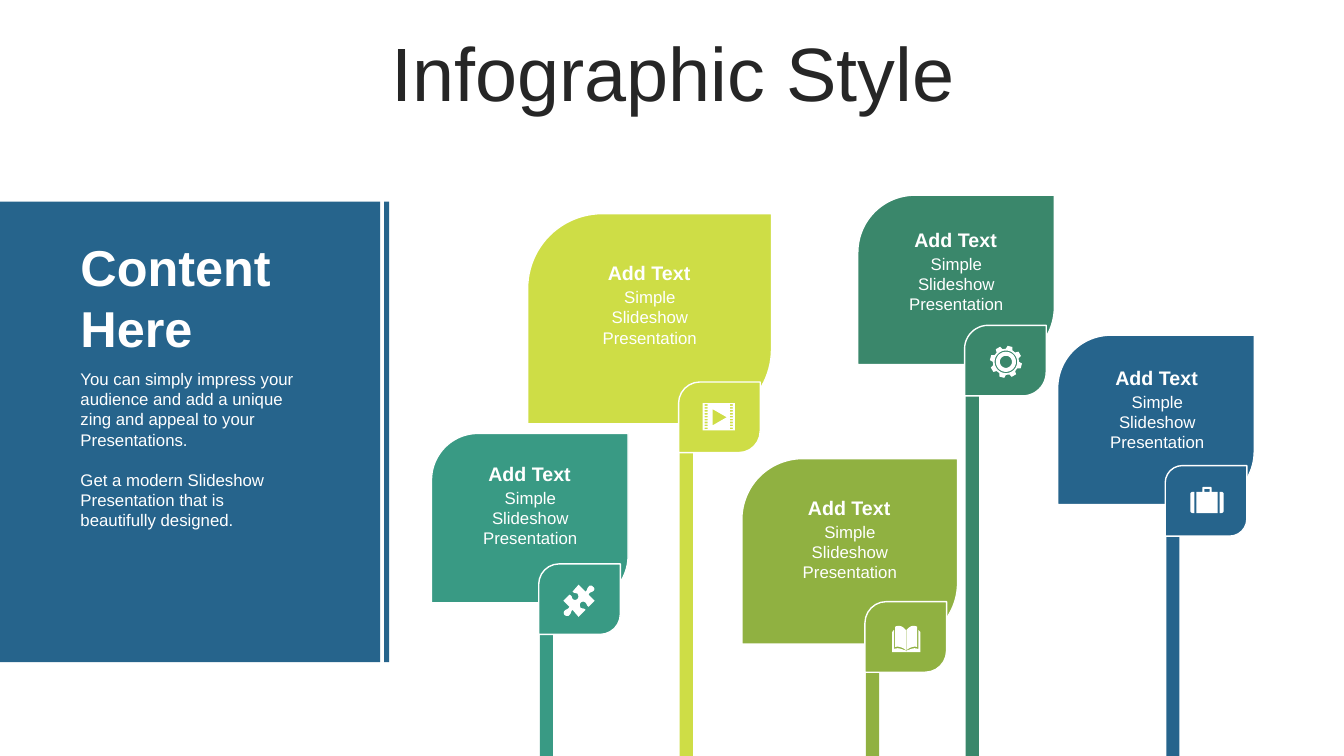
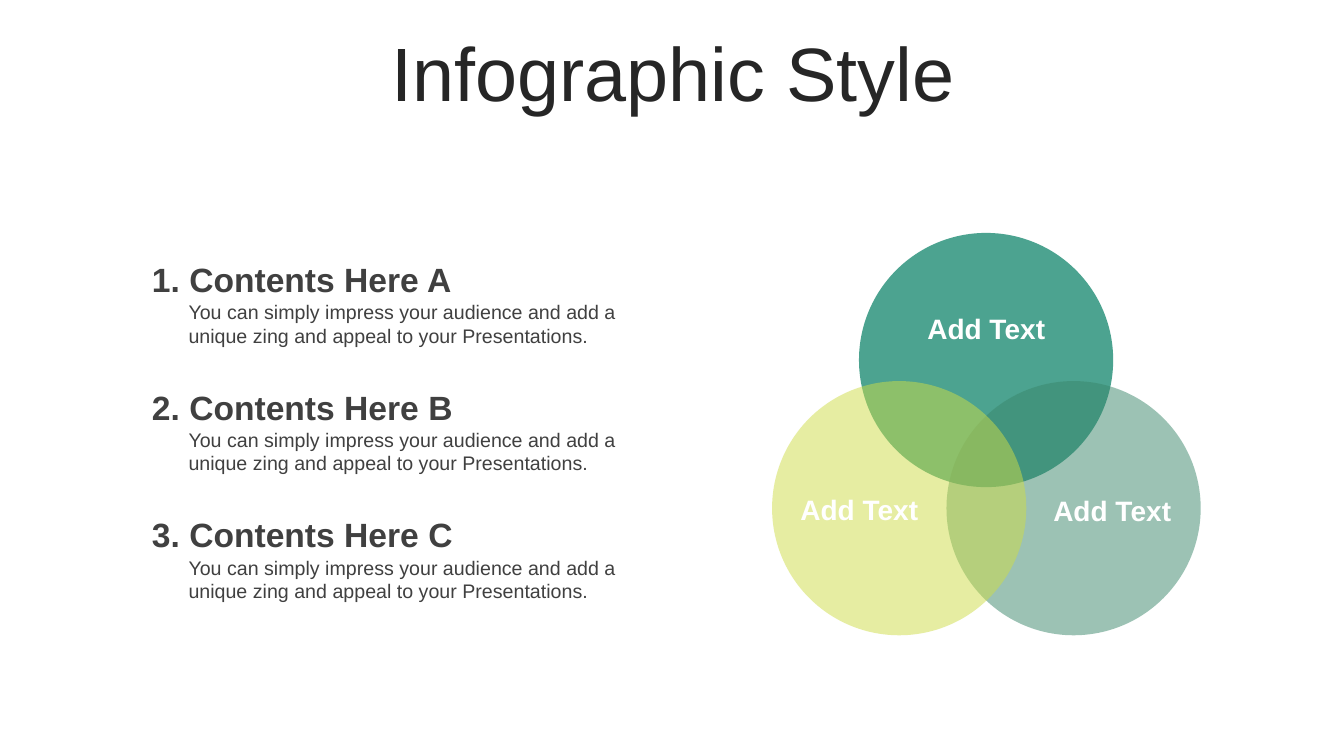
from math import cos, radians, sin

from pptx import Presentation
from pptx.dml.color import RGBColor
from pptx.enum.shapes import MSO_SHAPE as Shape
from pptx.enum.text import MSO_ANCHOR as Anchor, PP_ALIGN as Align
from pptx.oxml.ns import qn
from pptx.util import Pt
from lxml.etree import SubElement

COLOURS = {
    "white": "FFFFFF",
    "title": "262626",
    "text": "404040",
    "blue": "26648C",
    "teal": "399A84",
    "lime": "CEDD46",
    "olive": "90B141",
    "green": "3A876B",
}
FORMATS = {
    "title": {"size": Pt(54), "bold": False},
    "panel heading": {"size": Pt(36), "bold": True},
    "list heading": {"size": Pt(24), "bold": True},
    "circle": {"size": Pt(20), "bold": True},
    "leaf heading": {"size": Pt(14), "bold": True},
    "list body": {"size": Pt(14), "bold": False},
    "body": {"size": Pt(12), "bold": False},
}
SLIDE_HEIGHT = 540
GRID = 0.72  # step of the icon drawings, in points
CURVE_STEPS = 6
PITCH = "You can simply impress your audience and add a unique zing and appeal to your Presentations."


def add_filled(slide, kind, box, colour, opacity=100, outlined=False, corner=None):
    """Add a preset shape; opacity is in percent, corner is the first adjustment."""
    shape = slide.shapes.add_shape(kind, *map(Pt, box))
    shape.shadow.inherit = False
    shape.fill.solid()
    shape.fill.fore_color.rgb = RGBColor.from_string(COLOURS[colour])
    if opacity < 100:
        fill_colour = shape.fill._xPr.find(qn("a:solidFill"))[0]
        SubElement(fill_colour, qn("a:alpha")).set("val", str(opacity * 1000))
    if outlined:
        shape.line.color.rgb = RGBColor.from_string(COLOURS["white"])
        shape.line.width = Pt(1)
    else:
        shape.line.fill.background()
    if corner is not None:
        shape.adjustments[0] = corner
        shape.adjustments[1] = 0


def add_text(slide, box, texts, style, colour="white", align=Align.LEFT,
             anchor=Anchor.TOP, line_spacing=1.0, side_inset=7.2):
    """Add a wrapping text box with one paragraph for each text."""
    frame = slide.shapes.add_textbox(*map(Pt, box)).text_frame
    frame.word_wrap = True
    frame.vertical_anchor = anchor
    frame.margin_left = frame.margin_right = Pt(side_inset)
    for index, text in enumerate(texts):
        paragraph = frame.add_paragraph() if index else frame.paragraphs[0]
        paragraph.text = text
        paragraph.alignment = align
        paragraph.line_spacing = line_spacing
        if index:
            paragraph.space_before = Pt(14.4)
        paragraph.font.name = "Arial"
        paragraph.font.color.rgb = RGBColor.from_string(COLOURS[colour])
        for name, value in FORMATS[style].items():
            setattr(paragraph.font, name, value)


presentation = Presentation()
presentation.slide_width = Pt(960)
presentation.slide_height = Pt(SLIDE_HEIGHT)
slides = [presentation.slides.add_slide(presentation.slide_layouts[6]) for _ in range(2)]
for slide in slides:
    add_text(slide, (25.2, 26.64, 911.52, 56.88), ["Infographic Style"], "title", "title",
             Align.CENTER, Anchor.MIDDLE, 0.9)

# Slide 1: panel and leaves
leaf_slide, circle_slide = slides
for left, width in ((0, 271.5), (274.3, 3.6)):
    add_filled(leaf_slide, Shape.RECTANGLE, (left, 144, width, 329), "blue")
add_text(leaf_slide, (50.4, 164.9, 171.4, 94.3), ["Content Here"], "panel heading",
         anchor=Anchor.MIDDLE)
add_text(leaf_slide, (50.4, 259.9, 171.4, 123.8),
         [PITCH, "Get a modern Slideshow Presentation that is beautifully designed."], "body")

# colour, leaf box, leaf corner, bud left and top, bud corner, label left and top
leaves = [
    ("lime", (376.9, 152.6, 174.2, 150.2), 0.355, (484.7, 272.9), 0.303, (416.9, 182.9)),
    ("blue", (755.5, 239.4, 140.4, 121), 0.313, (832.3, 332.6), 0.243, (779.4, 257.8)),
    ("olive", (529.9, 327.6, 154.1, 132.5), 0.328, (617.8, 429.8), 0.303, (559.8, 350.6)),
    ("teal", (308.2, 309.6, 140.4, 121), 0.275, (384.8, 402.8), 0.288, (331.5, 326.2)),
    ("green", (612.7, 139.4, 140.4, 121), 0.338, (689, 232.4), 0.334, (635.8, 159.1)),
]
for colour, leaf_box, leaf_corner, bud, bud_corner, label in leaves:
    bud_left, bud_top = bud
    label_left, label_top = label
    stem_top = bud_top + 17
    add_filled(leaf_slide, Shape.RECTANGLE,
               (bud_left + 0.8, stem_top, 9.4, SLIDE_HEIGHT - stem_top), colour)
    for box, corner in ((leaf_box, leaf_corner), ((bud_left, bud_top, 58.3, 50.4), bud_corner)):
        add_filled(leaf_slide, Shape.ROUND_2_DIAG_RECTANGLE, box, colour,
                   outlined=True, corner=corner)
    add_text(leaf_slide, (label_left, label_top, 93.6, 24.5), ["Add Text"], "leaf heading",
             align=Align.CENTER)
    add_text(leaf_slide, (label_left + 0.5, label_top + 18.5, 93.6, 51.1),
             ["Simple Slideshow Presentation"], "body", align=Align.CENTER)

# Icon contours in grid steps: two numbers make a line, six a Bézier curve
puzzle = [[
    (29, 2), (31, 3, 31, 5, 30, 6), (28, 8, 26, 7, 25, 10), (31, 16), (25, 22),
    (23, 21, 23, 19, 22, 18), (20, 16, 18, 17, 17, 18), (16, 19, 16, 21, 17, 23),
    (19, 24, 20, 23, 22, 25), (15, 32), (9, 25), (7, 27, 8, 28, 6, 30),
    (5, 32, 2, 31, 1, 30), (0, 29, 0, 27, 1, 26), (3, 24, 4, 25, 6, 22), (0, 16),
    (6, 10), (9, 11, 8, 13, 9, 14), (11, 16, 13, 15, 14, 14), (15, 13, 15, 11, 14, 9),
    (12, 8, 11, 9, 9, 7), (15, 0), (22, 7), (24, 5, 23, 4, 25, 2), (26, 0, 29, 1, 29, 2),
]]
book = [
    [(13.7, 24), (10, 21, 6, 20, 3, 21), (3, 1), (4, 0, 6, 0, 7, 0), (9, 0, 11, 1, 13.7, 4)],
    [(0, 6), (2, 4), (2, 23), (6, 21, 9, 23, 13.7, 24.5), (14, 26), (0, 26)],
]
briefcase = [[(29, 5), (31, 5), (32, 5, 33, 6, 33, 7), (33, 24), (33, 25, 32, 26, 31, 26), (29, 26)]]
for contours, width in ((book, 28), (briefcase, 33)):
    contours += [[tuple(width - value if index % 2 == 0 else value
                        for index, value in enumerate(step))
                  for step in contour] for contour in contours]
briefcase += [
    [(13, 0), (20, 0), (21, 0, 21, 1, 21, 1), (21, 5), (27, 5), (27, 26), (6, 26), (6, 5),
     (12, 5), (12, 1), (12, 1, 12, 0, 13, 0)],
    [(14, 5), (14, 2), (19, 2), (19, 5)],
]
film = [[(0, 0), (32, 0), (32, 27), (0, 27)], [(10, 6), (10, 22), (24, 14)]]
for x in (2, 27):
    for row in range(9):
        y = 1 + 2.9 * row
        film.append([(x, y), (x, y + 1.6), (x + 3, y + 1.6), (x + 3, y)])
gear_outline = [
    (16 + radius * cos(radians(angle)), 16 + radius * sin(radians(angle)))
    for tooth in range(8)
    for radius, angle in ((13, 45 * tooth), (16, 45 * tooth + 6),
                          (16, 45 * tooth + 24), (13, 45 * tooth + 30))
]
gear_rings = [
    [(16 + radius * cos(radians(angle)), 16 + radius * sin(radians(angle)))
     for angle in range(0, 360, 10)]
    for radius in (11.2, 10, 6)
]
gear = [gear_outline] + gear_rings

icons = [
    (402.48, 417.6, puzzle),
    (637.2, 447.12, book),
    (501.84, 288, film),
    (850.32, 347.76, briefcase),
    (707.04, 246.96, gear),
]
for left, top, contours in icons:
    builder = None
    for contour in contours:
        points = [contour[0]]
        for step in contour[1:]:
            if len(step) == 2:
                points.append(step)
                continue
            x0, y0 = points[-1]
            x1, y1, x2, y2, x3, y3 = step
            for index in range(1, CURVE_STEPS + 1):
                t = index / CURVE_STEPS
                a, b, c, d = (1 - t) ** 3, 3 * t * (1 - t) ** 2, 3 * t * t * (1 - t), t ** 3
                points.append((a * x0 + b * x1 + c * x2 + d * x3,
                               a * y0 + b * y1 + c * y2 + d * y3))
        start, *rest = [(Pt(left + GRID * x), Pt(top + GRID * y)) for x, y in points]
        if builder is None:
            builder = leaf_slide.shapes.build_freeform(*start)
        else:
            builder.move_to(*start)
        builder.add_line_segments(rest, close=True)
    icon = builder.convert_to_shape()
    icon.shadow.inherit = False
    icon.fill.solid()
    icon.fill.fore_color.rgb = RGBColor.from_string(COLOURS["white"])
    icon.line.fill.background()

# Slide 2: numbered list and overlapping circles
for index, letter in enumerate("ABC"):
    top = 181.4 + 91.2 * index
    add_text(circle_slide, (128.9, top + 29.5, 330.5, 41), [PITCH], "list body", "text",
             side_inset=5.76)
    add_text(circle_slide, (101.5, top, 357.8, 36), [f"{index + 1}. Contents Here {letter}"],
             "list heading", "text")

circles = [("teal", 613.6, 166.4, 90), ("green", 676.1, 272.2, 50), ("lime", 551.5, 272.2, 50)]
for colour, left, top, opacity in circles:
    add_filled(circle_slide, Shape.OVAL, (left, top, 181.6, 181.6), colour, opacity)
for left, top in ((732.2, 349.2), (642.2, 218.9), (551.5, 348.5)):
    add_text(circle_slide, (left, top, 124.6, 31.7), ["Add Text"], "circle", align=Align.CENTER)

presentation.save("out.pptx")
